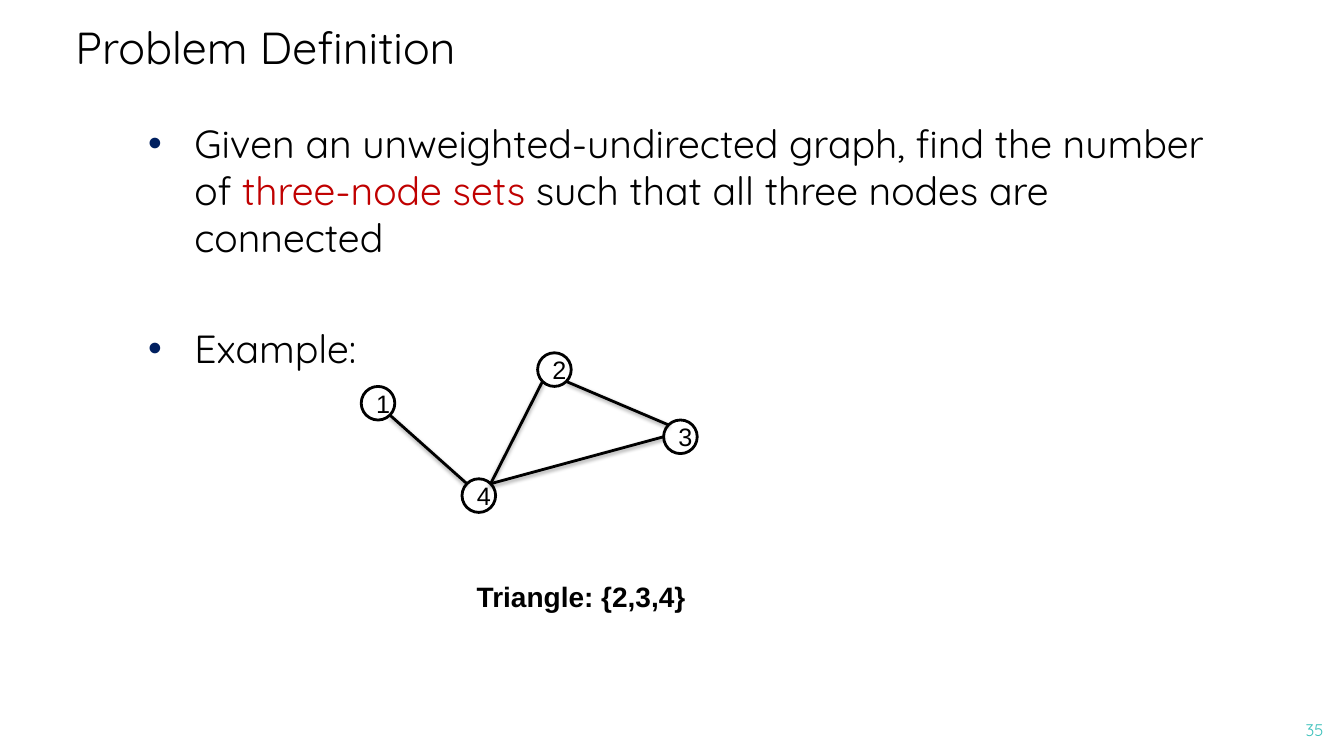
from dataclasses import dataclass
from math import cos, radians, sin

from lxml import etree
from pptx import Presentation
from pptx.dml.color import RGBColor
from pptx.enum.shapes import MSO_CONNECTOR, MSO_SHAPE
from pptx.enum.text import MSO_ANCHOR, PP_ALIGN
from pptx.oxml import parse_xml
from pptx.oxml.ns import nsdecls, qn
from pptx.util import Pt

OVAL = MSO_SHAPE.OVAL
STRAIGHT = MSO_CONNECTOR.STRAIGHT
TOP, MIDDLE, BOTTOM = MSO_ANCHOR.TOP, MSO_ANCHOR.MIDDLE, MSO_ANCHOR.BOTTOM
LEFT, CENTER, RIGHT = PP_ALIGN.LEFT, PP_ALIGN.CENTER, PP_ALIGN.RIGHT


@dataclass(frozen=True)
class Theme:
    ink: str = "000000"
    paper: str = "FFFFFF"
    accent: str = "C00000"
    bullet: str = "002060"
    number: str = "39C0BA"
    text_font: str = "Quicksand"
    graph_font: str = "Arial"
    title_size: int = 32
    body_size: int = 28
    caption_size: int = 20
    node_size: int = 18
    number_size: int = 12
    line_width: int = 2
    node_diameter: int = 24


class SlideBuilder:
    def __init__(self, slide, theme):
        self.slide = slide
        self.theme = theme

    def add_runs(self, paragraph, runs, size, font, bold=False):
        for text, color in runs:
            run = paragraph.add_run()
            run.text = text
            values = {"size": Pt(size), "name": font, "bold": bold}
            for name, value in values.items():
                setattr(run.font, name, value)
            run.font.color.rgb = RGBColor.from_string(color)

    def text_box(self, box, anchor=TOP, wrap=True):
        shape = self.slide.shapes.add_textbox(*map(Pt, box))
        frame = shape.text_frame
        values = {"word_wrap": wrap, "vertical_anchor": anchor}
        for side in ("left", "top", "right", "bottom"):
            values[f"margin_{side}"] = Pt(7.2)
        for name, value in values.items():
            setattr(frame, name, value)
        return frame

    def label(self, box, text, size, font, color, align=LEFT, bold=False, **frame_values):
        paragraph = self.text_box(box, **frame_values).paragraphs[0]
        paragraph.alignment = align
        self.add_runs(paragraph, [(text, color)], size, font, bold)

    def bullets(self, box, items):
        frame = self.text_box(box)
        for index, (space_before, runs) in enumerate(items):
            paragraph = frame.add_paragraph() if index else frame.paragraphs[0]
            paragraph.space_before = Pt(space_before)
            properties = paragraph._p.get_or_add_pPr()
            properties.set("marL", str(Pt(36)))
            properties.set("indent", str(Pt(-33)))
            color = etree.SubElement(properties, qn("a:buClr"))
            etree.SubElement(color, qn("a:srgbClr"), val=self.theme.bullet)
            etree.SubElement(properties, qn("a:buFont"), typeface=self.theme.graph_font)
            etree.SubElement(properties, qn("a:buChar"), char="•")
            self.add_runs(paragraph, runs, self.theme.body_size, self.theme.text_font)

    def node(self, center, text):
        theme = self.theme
        diameter = theme.node_diameter
        left, top = (value - diameter / 2 for value in center)
        shape = self.slide.shapes.add_shape(OVAL, Pt(left), Pt(top), Pt(diameter), Pt(diameter))
        shape.shadow.inherit = False
        shape.fill.solid()
        shape.fill.fore_color.rgb = RGBColor.from_string(theme.paper)
        shape.line.color.rgb = RGBColor.from_string(theme.ink)
        shape.line.width = Pt(theme.line_width)
        shape.text_frame.vertical_anchor = MIDDLE
        paragraph = shape.text_frame.paragraphs[0]
        paragraph.alignment = CENTER
        self.add_runs(paragraph, [(text, theme.ink)], theme.node_size, theme.graph_font)

    def rim(self, center, angle):
        radius = self.theme.node_diameter / 2
        x, y = center
        turn = radians(angle)
        return Pt(x + radius * cos(turn)), Pt(y + radius * sin(turn))

    def edge(self, start, start_angle, end, end_angle):
        theme = self.theme
        connector = self.slide.shapes.add_connector(
            STRAIGHT, *self.rim(start, start_angle), *self.rim(end, end_angle))
        connector.line.color.rgb = RGBColor.from_string(theme.ink)
        connector.line.width = Pt(theme.line_width)
        connector._element.spPr.append(parse_xml(
            f'<a:effectLst {nsdecls("a")}>'
            f'<a:outerShdw blurRad="{Pt(3.1)}" dist="{Pt(1.6)}" dir="5400000" rotWithShape="0">'
            f'<a:srgbClr val="{theme.ink}"><a:alpha val="38000"/></a:srgbClr>'
            '</a:outerShdw></a:effectLst>'))


def main():
    presentation = Presentation()
    presentation.slide_width, presentation.slide_height = Pt(960), Pt(540)
    slide = presentation.slides.add_slide(presentation.slide_layouts[6])
    theme = Theme()
    builder = SlideBuilder(slide, theme)

    builder.label((46.8, 17.3, 864, 42.5), "Problem Definition", theme.title_size,
                  theme.text_font, theme.ink, anchor=BOTTOM)
    builder.bullets((95.8, 77.8, 777.6, 432), [
        (0, [("Given an unweighted-undirected graph, find the number of ", theme.ink),
             ("three-node sets ", theme.accent),
             ("such that all three nodes are connected", theme.ink)]),
        (46, [("Example:", theme.ink)]),
    ])
    builder.label((895, 506.9, 57.6, 33.1), "35", theme.number_size,
                  theme.text_font, theme.number, align=RIGHT)

    nodes = {"1": (270, 288), "2": (396, 264), "4": (342, 354), "3": (486, 312)}
    edges = [("2", 135, "4", -45), ("2", 45, "3", -135),
             ("4", -45, "3", 180), ("1", 45, "4", -135)]
    for text, center in nodes.items():
        builder.node(center, text)
    for start, start_angle, end, end_angle in edges:
        builder.edge(nodes[start], start_angle, nodes[end], end_angle)

    builder.label((333.4, 406.8, 164.9, 31.7), "Triangle: {2,3,4}", theme.caption_size,
                  theme.graph_font, theme.ink, bold=True, wrap=False)
    presentation.save("out.pptx")


if __name__ == "__main__":
    main()
